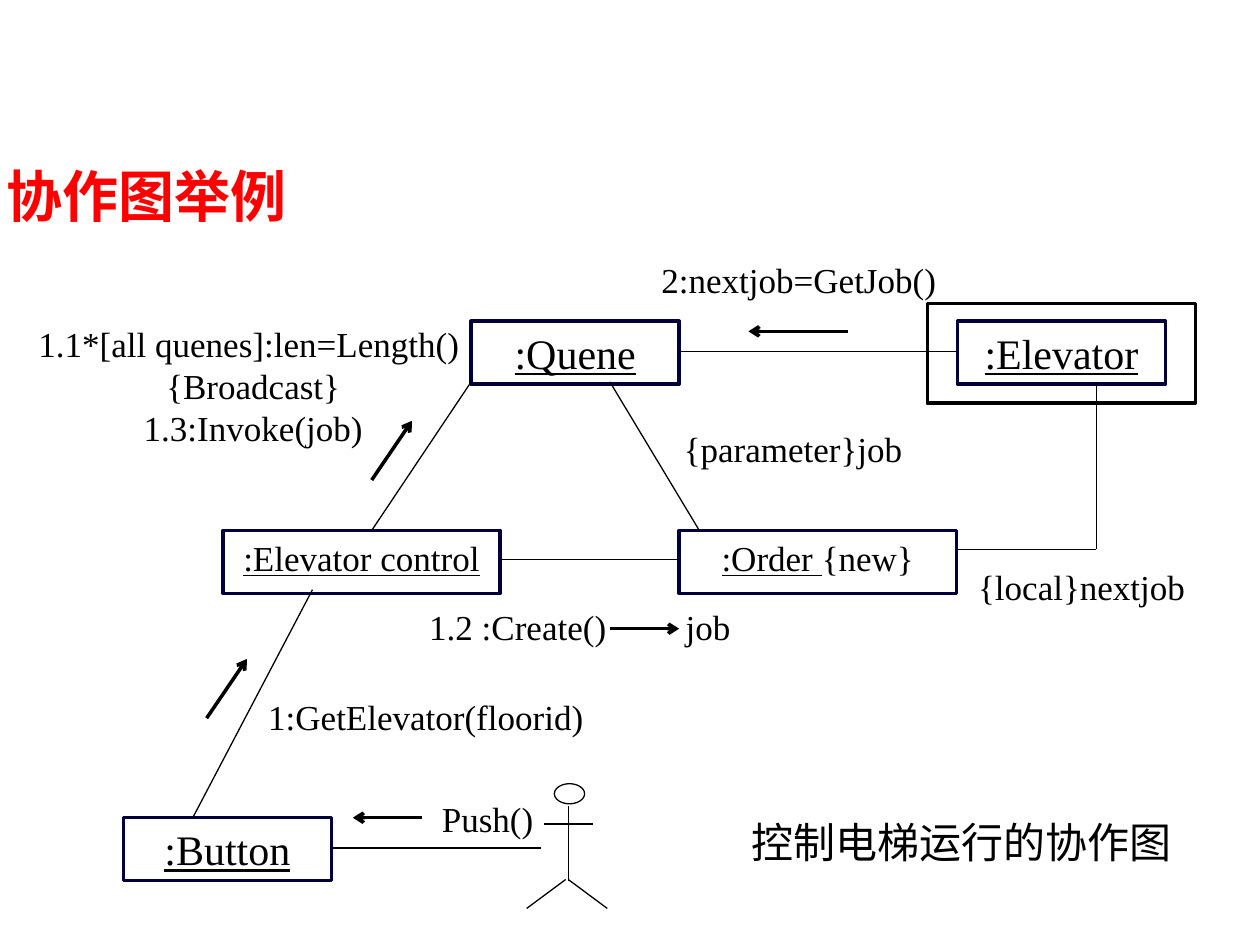
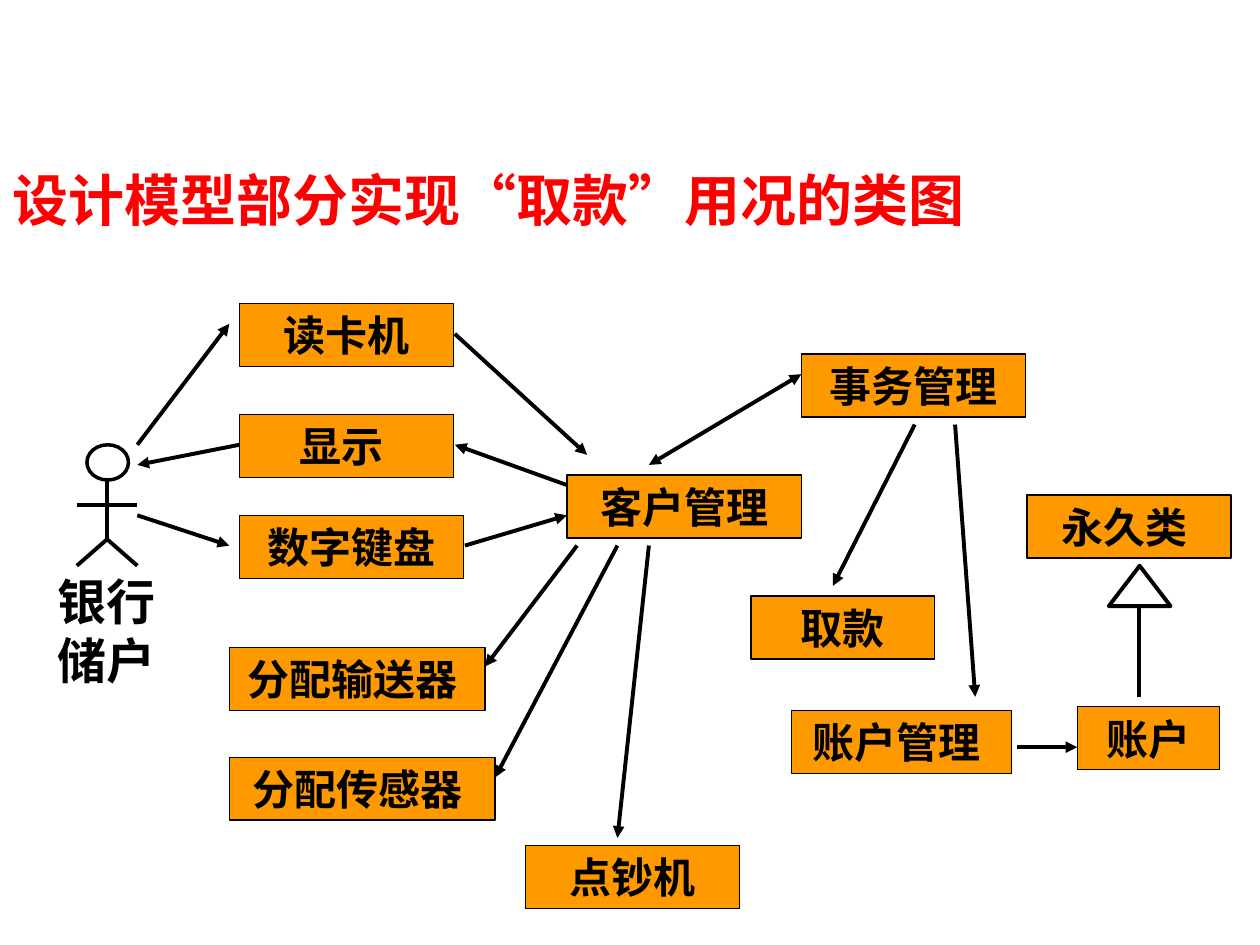
from lxml.etree import SubElement
from pptx import Presentation
from pptx.dml.color import RGBColor
from pptx.enum.shapes import MSO_CONNECTOR, MSO_SHAPE as Shape
from pptx.enum.text import MSO_ANCHOR as Anchor, MSO_AUTO_SIZE, PP_ALIGN as Align
from pptx.oxml.ns import qn
from pptx.util import Inches, Pt

COLORS = {"black": "000000", "title": "FF0000", "navy": "00003D",
          "white": "FFFFFF", "orange": "FF9900"}
SERIF, CASUAL = "Times New Roman", "Comic Neue"
BOX_HEIGHT = 0.5
TITLE_HEIGHT = 0.64

# Collaboration diagram: objects are (runs of (text, underlined), left, top, width, size)
ELEVATOR_TITLE = ("协作图举例", 0.05, 1.23, 7.51, 0)
OBJECTS = [
    ([(":Button", True)], 0.98, 6.49, 1.65, 24),
    ([(":Elevator control", True)], 1.77, 4.21, 2.2, 20),
    ([(":Order ", True), ("{new}", False)], 5.39, 4.21, 2.2, 20),
    ([(":Quene", True)], 3.74, 2.55, 1.65, 24),
    ([(":Elevator", True)], 7.6, 2.55, 1.65, 24),
]
ELEVATOR_FRAME = (7.36, 2.41, 2.13, 0.79)
MESSAGES = [  # text, left, top, width
    ("Push()", 3.36, 6.28, 1.02),
    ("1:GetElevator(floorid)", 2.12, 5.47, 2.52),
    ("2:nextjob=GetJob()", 5.08, 2, 2.52),
    ("{local}nextjob", 7.68, 4.44, 1.81),
    ("{parameter}job", 5.39, 3.34, 1.81),
    ("1.2 :Create()", 3.36, 4.76, 1.5),
    ("job", 5.39, 4.76, 0.46),
]
QUEUE_CALLS = ["1.1*[all quenes]:len=Length() ", "{Broadcast}", "1.3:Invoke(job)"]
CAPTION = "控制电梯运行的协作图"
OBJECT_LINKS = [  # x1, y1, x2, y2
    (2.64, 6.73, 4.29, 6.73), (1.53, 6.49, 2.48, 4.68),
    (2.95, 4.21, 3.74, 3.03), (5.39, 2.79, 7.6, 2.79),
    (8.7, 3.03, 8.7, 4.36), (8.7, 4.36, 7.6, 4.36),
    (5.55, 4.21, 4.84, 3.03), (3.98, 4.44, 5.39, 4.44),
]
MESSAGE_ARROWS = [
    (3.35, 6.49, 2.8, 6.49), (1.64, 5.7, 1.96, 5.23), (2.95, 3.81, 3.27, 3.34),
    (6.73, 2.63, 5.94, 2.63), (4.84, 4.99, 5.39, 4.99),
]
USER_HEAD = (4.4, 6.22, 0.24, 0.16)
USER_LIMBS = [
    (4.51, 6.4, 4.51, 6.99), (4.32, 6.54, 4.71, 6.54),
    (4.49, 6.98, 4.18, 7.21), (4.51, 6.98, 4.82, 7.21),
]

# Class diagram: text, left, top, width
WITHDRAW_TITLE = ("设计模型部分实现“取款”用况的类图", 0, 1.26, 8.74, 0.1)
CLASSES = [
    ("读卡机", 1.9, 2.41, 1.7), ("显示 ", 1.9, 3.29, 1.7),
    ("数字键盘", 1.9, 4.09, 1.78), ("分配输送器 ", 1.82, 5.14, 2.03),
    ("分配传感器 ", 1.82, 6.01, 2.11), ("点钞机", 4.17, 6.71, 1.7),
    ("客户管理", 4.5, 3.77, 1.86), ("事务管理", 6.36, 2.81, 1.78),
    ("取款", 5.96, 4.73, 1.46), ("账户管理 ", 6.28, 5.64, 1.75),
    ("账户", 8.55, 5.61, 1.13), ("永久类 ", 8.15, 3.93, 1.62),
]
CLASS_ARROWS = [
    (1.09, 3.53, 1.82, 2.57), (1.9, 3.53, 1.09, 3.69), (1.09, 4.09, 1.82, 4.33),
    (3.61, 2.65, 4.66, 3.61), (4.5, 3.85, 3.61, 3.53), (3.69, 4.33, 4.5, 4.09),
    (4.58, 4.33, 3.85, 5.29), (4.9, 4.33, 3.93, 6.17), (5.15, 4.33, 4.9, 6.65),
    (7.26, 3.37, 6.61, 4.65), (7.58, 3.37, 7.74, 5.53), (8.07, 5.93, 8.55, 5.93),
]
TWO_WAY_ARROW = (5.15, 3.69, 6.36, 2.97)
INHERITANCE_HEAD = (8.8, 4.49, 0.49, 0.32)
INHERITANCE_LINE = (9.04, 4.81, 9.04, 5.53)
CUSTOMER = ["银行", "储户"]
CUSTOMER_HEAD = (0.69, 3.53, 0.33, 0.28)
CUSTOMER_LIMBS = [
    (0.61, 4.01, 1.09, 4.01), (0.85, 3.8, 0.85, 4.28),
    (0.61, 4.49, 0.85, 4.28), (1.09, 4.49, 0.85, 4.28),
]


def color(name):
    return RGBColor.from_string(COLORS[name])


def inches(values):
    return [Inches(value) for value in values]


def style_font(para, size, name=SERIF, ink="black", bold=False):
    font = para.font
    font.size, font.name, font.bold = Pt(size), name, bold
    font.color.rgb = color(ink)


def set_frame(frame, wrap, side=0.1, anchor=Anchor.TOP):
    frame.word_wrap = wrap
    frame.auto_size = MSO_AUTO_SIZE.NONE
    frame.vertical_anchor = anchor
    frame.margin_left = frame.margin_right = Inches(side)
    frame.margin_top = frame.margin_bottom = Inches(0.05)


def add_titled_page(deck, text, left, top, width, side):
    page = deck.slides.add_slide(deck.slide_layouts[5])
    title = page.shapes.title
    title.left, title.top, title.width, title.height = inches(
        (left, top, width, TITLE_HEIGHT))
    set_frame(title.text_frame, True, side, Anchor.MIDDLE)
    title.text_frame.text = text
    para = title.text_frame.paragraphs[0]
    para.alignment = Align.LEFT
    style_font(para, 32, ink="title", bold=True)
    return page


def add_outline(page, kind, place, weight, ink="black", fill=None):
    shape = page.shapes.add_shape(kind, *inches(place))
    shape.shadow.inherit = False
    if fill:
        shape.fill.solid()
        shape.fill.fore_color.rgb = color(fill)
    else:
        shape.fill.background()
    shape.line.color.rgb = color(ink)
    shape.line.width = Pt(weight)
    return shape


def add_text(page, lines, place, size, side=0, wrap=False, align=Align.CENTER, bold=False):
    frame = page.shapes.add_textbox(*inches(place)).text_frame
    set_frame(frame, wrap, side)
    frame.text = "\n".join(lines)
    for para in frame.paragraphs:
        para.alignment = align
        style_font(para, size, bold=bold)


def add_lines(page, segments, weight, arrow=None, both_ends=False):
    for segment in segments:
        line = page.shapes.add_connector(MSO_CONNECTOR.STRAIGHT, *inches(segment))
        line.line.color.rgb = color("black")
        line.line.width = Pt(weight)
        properties = line._element.spPr
        SubElement(properties, qn("a:effectLst"))
        outline = properties.find(qn("a:ln"))
        if both_ends:
            SubElement(outline, qn("a:headEnd"), type=arrow)
        if arrow:
            SubElement(outline, qn("a:tailEnd"), type=arrow)


def add_stick_figure(page, head, limbs, head_weight, limb_weight):
    add_outline(page, Shape.OVAL, head, head_weight)
    add_lines(page, limbs, limb_weight)


def build_elevator_page(deck):
    page = add_titled_page(deck, *ELEVATOR_TITLE)
    for spans, left, top, width, size in OBJECTS:
        box = add_outline(page, Shape.RECTANGLE, (left, top, width, BOX_HEIGHT),
                          2, "navy", "white")
        set_frame(box.text_frame, False)
        para = box.text_frame.paragraphs[0]
        para.alignment = Align.CENTER
        style_font(para, size)
        for text, underlined in spans:
            span = para.add_run()
            span.text = text
            span.font.underline = underlined
    add_outline(page, Shape.RECTANGLE, ELEVATOR_FRAME, 2)
    add_stick_figure(page, USER_HEAD, USER_LIMBS, 0.75, 0.75)
    add_lines(page, OBJECT_LINKS, 0.75)
    add_lines(page, MESSAGE_ARROWS, 2, "arrow")
    for text, *place in MESSAGES:
        add_text(page, [text], (*place, BOX_HEIGHT), 20)
    add_text(page, QUEUE_CALLS, (0.24, 2.51, 3.54, 1.1), 20, wrap=True)
    add_text(page, [CAPTION], (5.55, 6.43, 4.17, BOX_HEIGHT), 24, side=0.1, wrap=True)


def build_withdraw_page(deck):
    page = add_titled_page(deck, *WITHDRAW_TITLE)
    for text, *place in CLASSES:
        box = add_outline(page, Shape.RECTANGLE, (*place, BOX_HEIGHT), 0.75, fill="orange")
        set_frame(box.text_frame, True, anchor=Anchor.MIDDLE)
        box.text_frame.text = text
        para = box.text_frame.paragraphs[0]
        para.alignment = Align.CENTER
        style_font(para, 24, CASUAL, bold=True)
    add_stick_figure(page, CUSTOMER_HEAD, CUSTOMER_LIMBS, 2, 2.25)
    add_lines(page, CLASS_ARROWS, 2.25, "triangle")
    add_lines(page, [TWO_WAY_ARROW], 2.25, "triangle", both_ends=True)
    add_outline(page, Shape.FLOWCHART_EXTRACT, INHERITANCE_HEAD, 2.25)
    add_lines(page, [INHERITANCE_LINE], 2.25)
    add_text(page, CUSTOMER, (0.36, 4.49, 1.13, 1.04), 28, side=0.1, wrap=True,
             align=Align.LEFT, bold=True)


def main():
    deck = Presentation()
    deck.slide_width, deck.slide_height = Inches(10), Inches(7.5)
    build_elevator_page(deck)
    build_withdraw_page(deck)
    deck.save("out.pptx")


if __name__ == "__main__":
    main()
